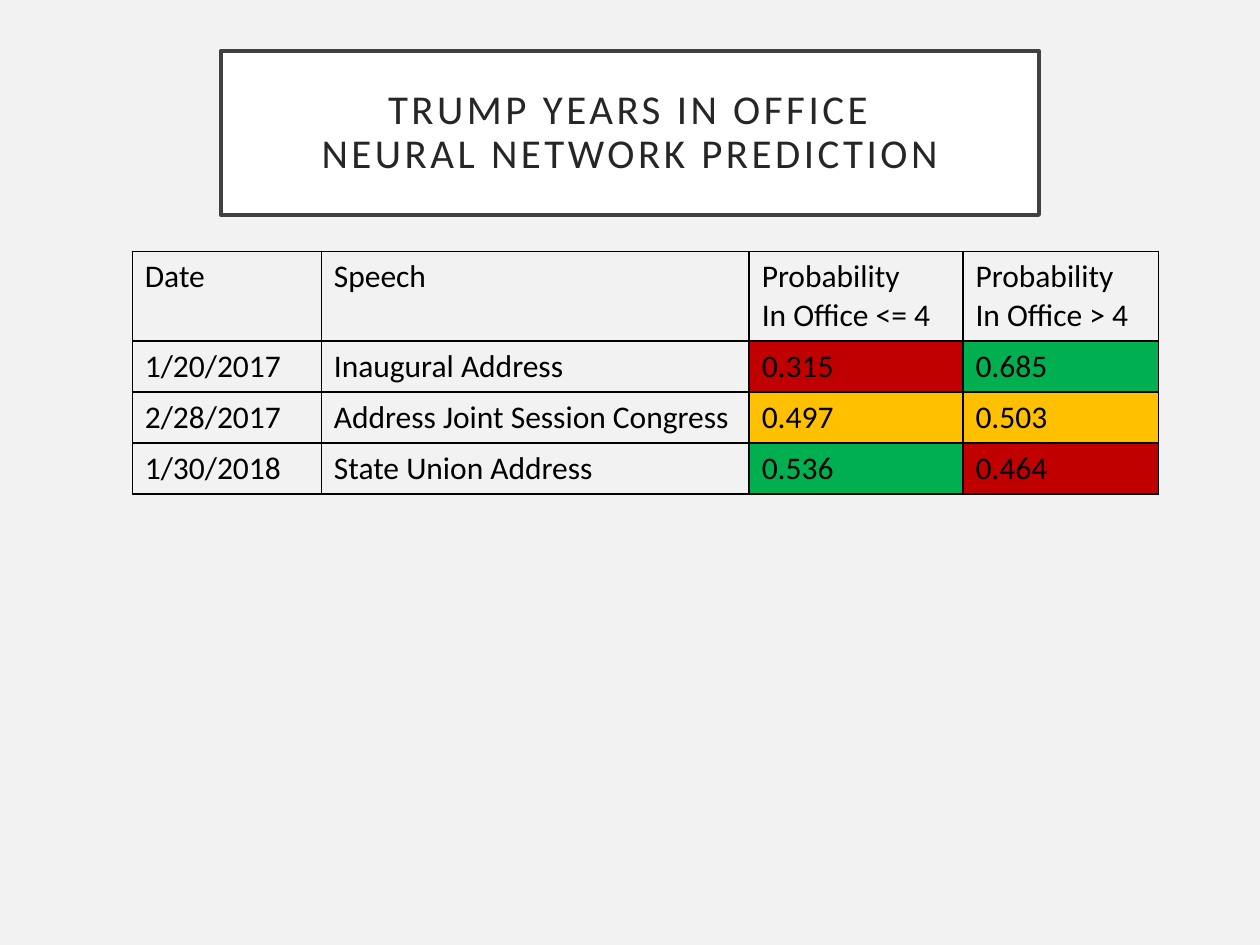
import pptx
import pptx.dml.color
import pptx.enum.shapes
import pptx.enum.text
import pptx.oxml
import pptx.oxml.ns
import pptx.util

Pt = pptx.util.Pt
RGBColor = pptx.dml.color.RGBColor

BACKGROUND = RGBColor(0xF2, 0xF2, 0xF2)
WHITE = RGBColor(0xFF, 0xFF, 0xFF)
FRAME = RGBColor(0x40, 0x40, 0x40)
HEADING = RGBColor(0x26, 0x26, 0x26)
BLACK = RGBColor(0x00, 0x00, 0x00)
RED = RGBColor(0xC0, 0x00, 0x00)
GREEN = RGBColor(0x00, 0xB0, 0x50)
AMBER = RGBColor(0xFF, 0xC0, 0x00)


def apply_format(target, values):
    for attribute, value in values.items():
        setattr(target, attribute, value)


def add_borders(cell, color, width):
    properties = cell._tc.get_or_add_tcPr()
    for position, side in enumerate(("lnL", "lnR", "lnT", "lnB")):
        border = pptx.oxml.parse_xml(
            f'<a:{side} {pptx.oxml.ns.nsdecls("a")} w="{width}">'
            f'<a:solidFill><a:srgbClr val="{color}"/></a:solidFill></a:{side}>'
        )
        properties.insert(position, border)


presentation = pptx.Presentation()
apply_format(presentation, {"slide_width": Pt(720), "slide_height": Pt(540)})
slide = presentation.slides.add_slide(presentation.slide_layouts[6])
slide.background.fill.solid()
slide.background.fill.fore_color.rgb = BACKGROUND

heading = slide.shapes.add_shape(
    pptx.enum.shapes.MSO_SHAPE.RECTANGLE, Pt(126.2), Pt(29.2), Pt(467.5), Pt(93.6)
)
heading.shadow.inherit = False
heading.fill.solid()
heading.fill.fore_color.rgb = WHITE
heading.line.color.rgb = FRAME
heading.line.width = Pt(2.5)
apply_format(heading.text_frame, {
    "word_wrap": True,
    "vertical_anchor": pptx.enum.text.MSO_ANCHOR.MIDDLE,
    "margin_left": Pt(14.4),
    "margin_right": Pt(14.4),
    "margin_top": Pt(14.4),
    "margin_bottom": Pt(14.4),
})
heading_text = heading.text_frame.paragraphs[0]
heading_text.text = "TRUMP YEARS IN OFFICE\nNEURAL NETWORK PREDICTION"
apply_format(heading_text, {
    "alignment": pptx.enum.text.PP_ALIGN.CENTER,
    "line_spacing": 0.9,
})
for run in heading_text.runs:
    apply_format(run.font, {"name": "Calibri", "size": Pt(23.4)})
    run.font.color.rgb = HEADING
    run._r.get_or_add_rPr().set("spc", "200")

speeches = [
    ("Date", "Speech", "Probability\nIn Office <= 4", "Probability\nIn Office > 4"),
    ("1/20/2017", "Inaugural Address", "0.315", "0.685"),
    ("2/28/2017", "Address Joint Session Congress", "0.497", "0.503"),
    ("1/30/2018", "State Union Address", "0.536", "0.464"),
]
ratings = {
    (1, 2): RED, (1, 3): GREEN,
    (2, 2): AMBER, (2, 3): AMBER,
    (3, 2): GREEN, (3, 3): RED,
}
column_widths = [108, 244.5, 122.2, 111.8]
row_heights = [51.2, 29.2, 29.2, 29.2]

predictions = slide.shapes.add_table(
    len(speeches), len(column_widths), Pt(75.6), Pt(143.6),
    Pt(sum(column_widths)), Pt(sum(row_heights))
).table
apply_format(predictions, {"first_row": False, "horz_banding": False})
for column, width in zip(predictions.columns, column_widths):
    column.width = Pt(width)
for row, height in zip(predictions.rows, row_heights):
    row.height = Pt(height)

for row_index, speech in enumerate(speeches):
    for column_index, value in enumerate(speech):
        cell = predictions.cell(row_index, column_index)
        rating = ratings.get((row_index, column_index))
        if rating is None:
            cell.fill.background()
        else:
            cell.fill.solid()
            cell.fill.fore_color.rgb = rating
        add_borders(cell, BLACK, Pt(1))
        entry = cell.text_frame.paragraphs[0]
        entry.text = value
        for run in entry.runs:
            apply_format(run.font, {"name": "Calibri", "size": Pt(18), "bold": False})
            run.font.color.rgb = BLACK

presentation.save("out.pptx")
